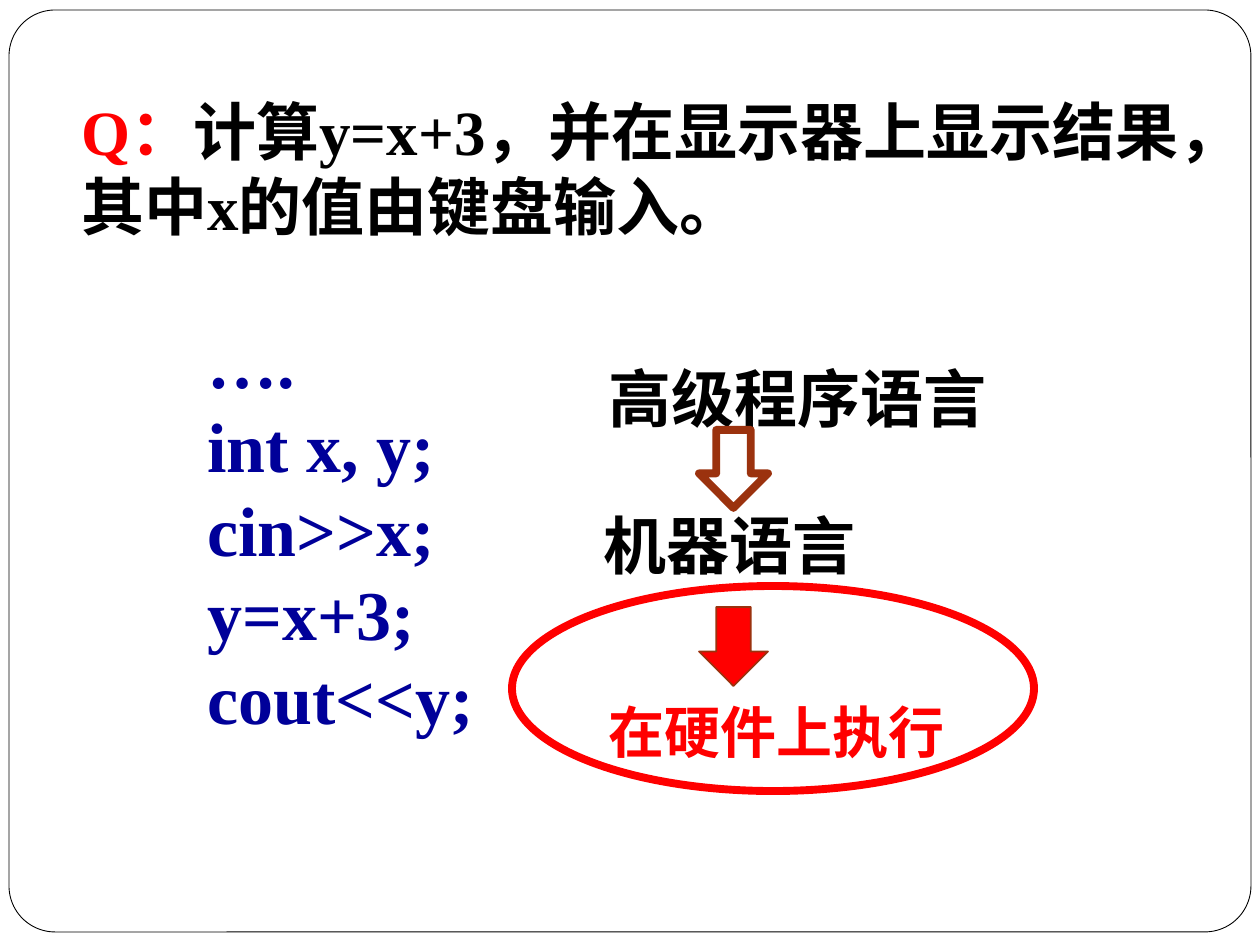
from pptx import Presentation
from pptx.dml.color import RGBColor
from pptx.enum.shapes import MSO_SHAPE
from pptx.util import Emu, Pt

PX = 914400 / 126
BLACK = RGBColor(0x00, 0x00, 0x00)
WHITE = RGBColor(0xFF, 0xFF, 0xFF)
RED = RGBColor(0xFF, 0x00, 0x00)
NAVY = RGBColor(0x00, 0x00, 0x99)
BROWN = RGBColor(0x9B, 0x32, 0x0E)


def add_shape(kind, box, fill, line, width):
    s = slide.shapes.add_shape(kind, *[Emu(round(v * PX)) for v in box])
    s.shadow.inherit = False
    if fill is None:
        s.fill.background()
    else:
        s.fill.solid()
        s.fill.fore_color.rgb = fill
    s.line.color.rgb = line
    s.line.width = Pt(width)
    return s


def add_text(box, text, size, color):
    s = slide.shapes.add_textbox(*[Emu(round(v * PX)) for v in box])
    tf = s.text_frame
    tf.word_wrap = True
    p = tf.paragraphs[0]
    p.font.name = "Times New Roman"
    p.font.size = Pt(size)
    p.font.bold = True
    p.add_run().text = text
    p.runs[0].font.color.rgb = color
    return tf


prs = Presentation()
prs.slide_width = Emu(round(1260 * PX))
prs.slide_height = Emu(round(945 * PX))
slide = prs.slides.add_slide(prs.slide_layouts[6])

frame = add_shape(MSO_SHAPE.ROUNDED_RECTANGLE, (9, 10, 1242, 922), WHITE, BLACK, 0.5)
frame.adjustments[0] = 0.05

tf = add_text((69, 86, 1131, 660), "Q：", 36, RED)
r = tf.paragraphs[0].add_run()
r.text = "计算y=x+3，并在显示器上显示结果，其中x的值由键盘输入。"
r.font.color.rgb = BLACK

code = ["….", "int x, y;", "cin>>x;", "y=x+3;", "cout<<y;"]
for i, line in enumerate(code):
    p = tf.add_paragraph()
    p.text = line
    p.line_spacing = Pt(48)
    p.space_before = Pt(0 if i else 43)
    p._p.get_or_add_pPr().set("marL", str(round(126 * PX)))
    p.font.name = "Times New Roman"
    p.font.size = Pt(40)
    p.font.bold = True
    p.font.color.rgb = NAVY

for x, y, h, text, size, color in [
    (596, 362, 81, "高级程序语言", 36, BLACK),
    (591, 509, 81, "机器语言", 36, BLACK),
    (596, 699, 73, "在硬件上执行", 32, RED),
]:
    tf = add_text((x, y, 527, h), text, size, color)
    tf.paragraphs[0].line_spacing = 0.9

add_shape(MSO_SHAPE.DOWN_ARROW, (699, 430, 69, 78), None, BROWN, 4.5)
add_shape(MSO_SHAPE.DOWN_ARROW, (699, 607, 69, 79), RED, BROWN, 1)
add_shape(MSO_SHAPE.OVAL, (512, 586, 522, 205), None, RED, 4.5)

prs.save("out.pptx")
